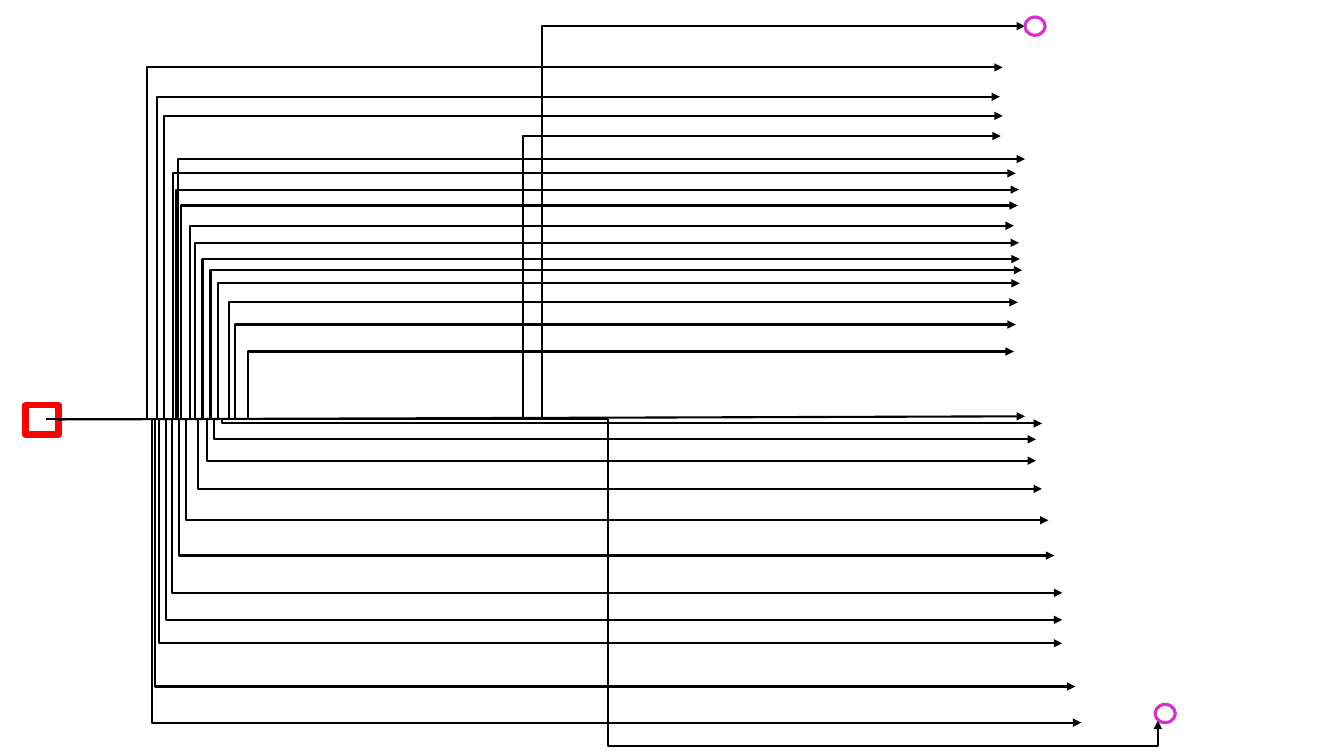
from dataclasses import dataclass

from lxml.etree import SubElement
from pptx import Presentation
from pptx.dml.color import RGBColor
from pptx.enum.shapes import MSO_CONNECTOR, MSO_SHAPE
from pptx.oxml.ns import qn
from pptx.util import Cm, Pt


@dataclass(frozen=True)
class Theme:
    source: RGBColor = RGBColor(0xFF, 0x00, 0x00)
    target: RGBColor = RGBColor(0xD9, 0x2F, 0xD1)
    wire: RGBColor = RGBColor(0x00, 0x00, 0x00)
    source_width: float = 4.5
    target_width: float = 2.25
    wire_width: float = 1.5


THEME = Theme()

# All positions are in centimetres
SOURCE_BOX = (0.64, 10.21, 0.84, 0.74)
START = (1.47, 10.57)
INNER_START = (1.17, 10.57)
TARGET_SIZE = (0.51, 0.46)
TARGETS = [(25.83, 0.43), (29.11, 17.75)]

# Each branch: bend x, end x, end y
UPPER_BRANCHES = [
    (13.64, 25.83, 0.66),
    (3.71, 25.27, 1.70),
    (3.96, 25.20, 2.44),
    (4.14, 25.27, 2.92),
    (4.50, 25.83, 4.01),
    (4.37, 25.60, 4.37),
    (4.45, 25.68, 4.78),
    (4.57, 25.65, 5.18),
    (4.80, 25.55, 5.69),
    (4.90, 25.68, 6.12),
    (5.11, 25.70, 6.53),
    (5.31, 25.76, 6.81),
    (5.49, 25.70, 7.14),
    (5.77, 25.65, 7.62),
    (5.94, 25.60, 8.18),
    (6.27, 25.55, 8.86),
]
LOWER_BRANCHES = [
    (5.59, 26.26, 10.67),
    (5.38, 26.11, 11.07),
    (5.21, 26.11, 11.61),
    (5.00, 26.26, 12.32),
    (4.70, 26.42, 13.11),
    (4.50, 26.57, 14.00),
    (4.32, 26.77, 14.94),
    (4.17, 26.77, 15.62),
    (4.01, 26.77, 16.21),
    (3.91, 27.10, 17.30),
    (3.84, 27.25, 18.21),
]
INNER_BRANCH = (13.18, 25.22, 3.43)
STRAIGHT_END = (25.83, 10.49)
DETOUR_END = (29.18, 18.16)
DETOUR_BEND = (15.32, 18.80)


def add_outline(slide, kind, box, color, width):
    """Add an unfilled preset shape."""
    shape = slide.shapes.add_shape(kind, *map(Cm, box))
    shape.shadow.inherit = False
    shape.fill.background()
    shape.line.color.rgb = color
    shape.line.width = Pt(width)


def add_arrow(slide, kind, start, end):
    """Add a connector with an arrowhead at its end."""
    connector = slide.shapes.add_connector(kind, *map(Cm, start + end))
    connector.line.color.rgb = THEME.wire
    connector.line.width = Pt(THEME.wire_width)
    properties = connector._element.spPr
    SubElement(properties.find(qn("a:ln")), qn("a:tailEnd"), type="triangle")
    SubElement(properties, qn("a:effectLst"))
    return connector


def add_elbow(slide, start, end, bend):
    """Add an elbow arrow that turns at bend x and, if given, bend y."""
    connector = add_arrow(slide, MSO_CONNECTOR.ELBOW, start, end)
    geometry = connector._element.spPr.find(qn("a:prstGeom"))
    geometry.set("prst", f"bentConnector{len(bend) + 2}")
    guides = geometry.find(qn("a:avLst"))
    for number, (first, last, turn) in enumerate(zip(start, end, bend), 1):
        share = round((turn - first) / (last - first) * 100000)
        SubElement(guides, qn("a:gd"), name=f"adj{number}", fmla=f"val {share}")


def main():
    presentation = Presentation()
    presentation.slide_width = Cm(33.87)
    presentation.slide_height = Cm(19.05)
    slide = presentation.slides.add_slide(presentation.slide_layouts[6])

    # Source box
    add_outline(slide, MSO_SHAPE.RECTANGLE, SOURCE_BOX,
                THEME.source, THEME.source_width)

    # Branches fanning out from the source
    for bend_x, *end in UPPER_BRANCHES + LOWER_BRANCHES:
        add_elbow(slide, START, tuple(end), (bend_x,))
    add_elbow(slide, INNER_START, INNER_BRANCH[1:], INNER_BRANCH[:1])
    add_elbow(slide, START, DETOUR_END, DETOUR_BEND)
    add_arrow(slide, MSO_CONNECTOR.STRAIGHT, START, STRAIGHT_END)

    # Target circles
    for corner in TARGETS:
        add_outline(slide, MSO_SHAPE.OVAL, corner + TARGET_SIZE,
                    THEME.target, THEME.target_width)

    presentation.save("out.pptx")


main()
